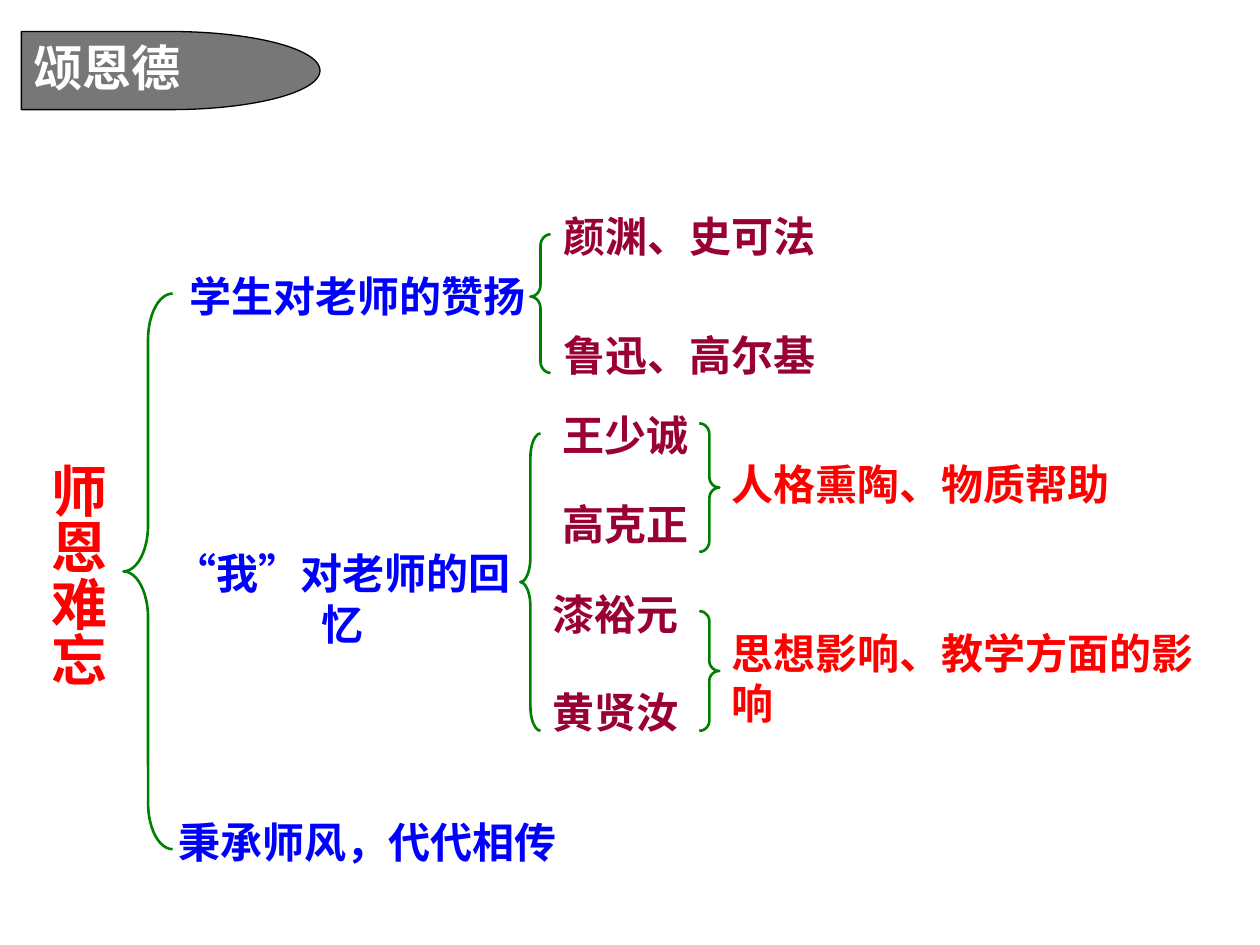
from pptx import Presentation
from pptx.dml.color import RGBColor
from pptx.enum import shapes, text
from pptx.util import Inches, Pt

COLORS = {
    "root": "FF0000",
    "branch": "0000FF",
    "leaf": "990033",
    "brace": "008000",
    "tab": "777777",
    "edge": "000000",
    "title": "FFFFFF",
}
LEFT = text.PP_ALIGN.LEFT
MID = text.PP_ALIGN.CENTER


class Board:
    font = "Times New Roman"
    size = 24

    def __init__(self, slide):
        self.slide = slide
        self.pool = slide.shapes

    def color(self, name):
        return RGBColor.from_string(COLORS[name])

    def group(self):
        self.pool = self.slide.shapes.add_group_shape().shapes

    def label(self, words, box, color, align=LEFT, size=None, font=None, tall=False):
        item = self.pool.add_textbox(*map(Inches, box))
        frame = item.text_frame
        frame.word_wrap = not tall
        frame.auto_size = text.MSO_AUTO_SIZE.SHAPE_TO_FIT_TEXT
        side, end = (0.05, 0.1) if tall else (0.1, 0.05)
        frame.margin_left = frame.margin_right = Inches(side)
        frame.margin_top = frame.margin_bottom = Inches(end)
        if tall:
            frame._txBody.bodyPr.set("vert", "eaVert")
        para = frame.paragraphs[0]
        para.text = words
        para.alignment = align
        para.font.name = font or self.font
        para.font.size = Pt(size or self.size)
        para.font.bold = True
        para.font.color.rgb = self.color(color)

    def shape(self, kind, box, line, width, fill=None):
        item = self.pool.add_shape(kind, *map(Inches, box))
        item.shadow.inherit = False
        if fill:
            item.fill.solid()
            item.fill.fore_color.rgb = self.color(fill)
        else:
            item.fill.background()
        item.line.color.rgb = self.color(line)
        item.line.width = Pt(width)
        return item

    def brace(self, box, right=False, point=0.5):
        kinds = shapes.MSO_SHAPE
        kind = kinds.RIGHT_BRACE if right else kinds.LEFT_BRACE
        item = self.shape(kind, box, "brace", 1.5)
        item.adjustments[0] = box[3] / 12 / box[2]
        item.adjustments[1] = point


def main():
    deck = Presentation()
    deck.slide_width, deck.slide_height = Inches(10), Inches(7.5)
    board = Board(deck.slides.add_slide(deck.slide_layouts[6]))

    board.label("师恩难忘", (0.2, 3.58, 0.73, 1.88), "root", MID, 32, tall=True)

    for words, box in (
        ("学生对老师的赞扬", (1.38, 2.1, 2.91, 0.5)),
        ("“我”对老师的回忆", (1.22, 4.3, 2.99, 0.9)),
        ("秉承师风，代代相传", (1.3, 6.43, 3.23, 0.5)),
    ):
        board.label(words, box, "branch", MID)

    for words, left, top, width in (
        ("颜渊、史可法", 4.37, 1.62, 2.28),
        ("鲁迅、高尔基", 4.37, 2.57, 2.52),
        ("王少诚", 4.37, 3.2, 1.26),
        ("高克正", 4.37, 3.91, 1.26),
        ("漆裕元", 4.29, 4.62, 1.34),
        ("黄贤汝", 4.29, 5.4, 1.26),
    ):
        board.label(words, (left, top, width, 0.5), "leaf")

    board.label("人格熏陶、物质帮助", (5.71, 3.59, 3.23, 0.5), "root")
    board.label("思想影响、教学方面的影响", (5.71, 4.93, 3.94, 0.9), "root")

    board.brace((0.98, 2.33, 0.39, 4.41))
    board.brace((4.21, 1.86, 0.16, 1.1), point=0.45)
    board.brace((4.13, 3.44, 0.16, 2.36))
    board.brace((5.55, 3.36, 0.16, 1.02), right=True)
    board.brace((5.55, 4.85, 0.16, 0.95), right=True)

    board.group()
    delay = shapes.MSO_SHAPE.FLOWCHART_DELAY
    board.shape(delay, (0.17, 0.25, 2.37, 0.62), "edge", 0.75, "tab")
    board.label("颂恩德", (0.17, 0.25, 2.6, 0.57), "title", size=28, font="Arial")

    deck.save("out.pptx")


if __name__ == "__main__":
    main()
